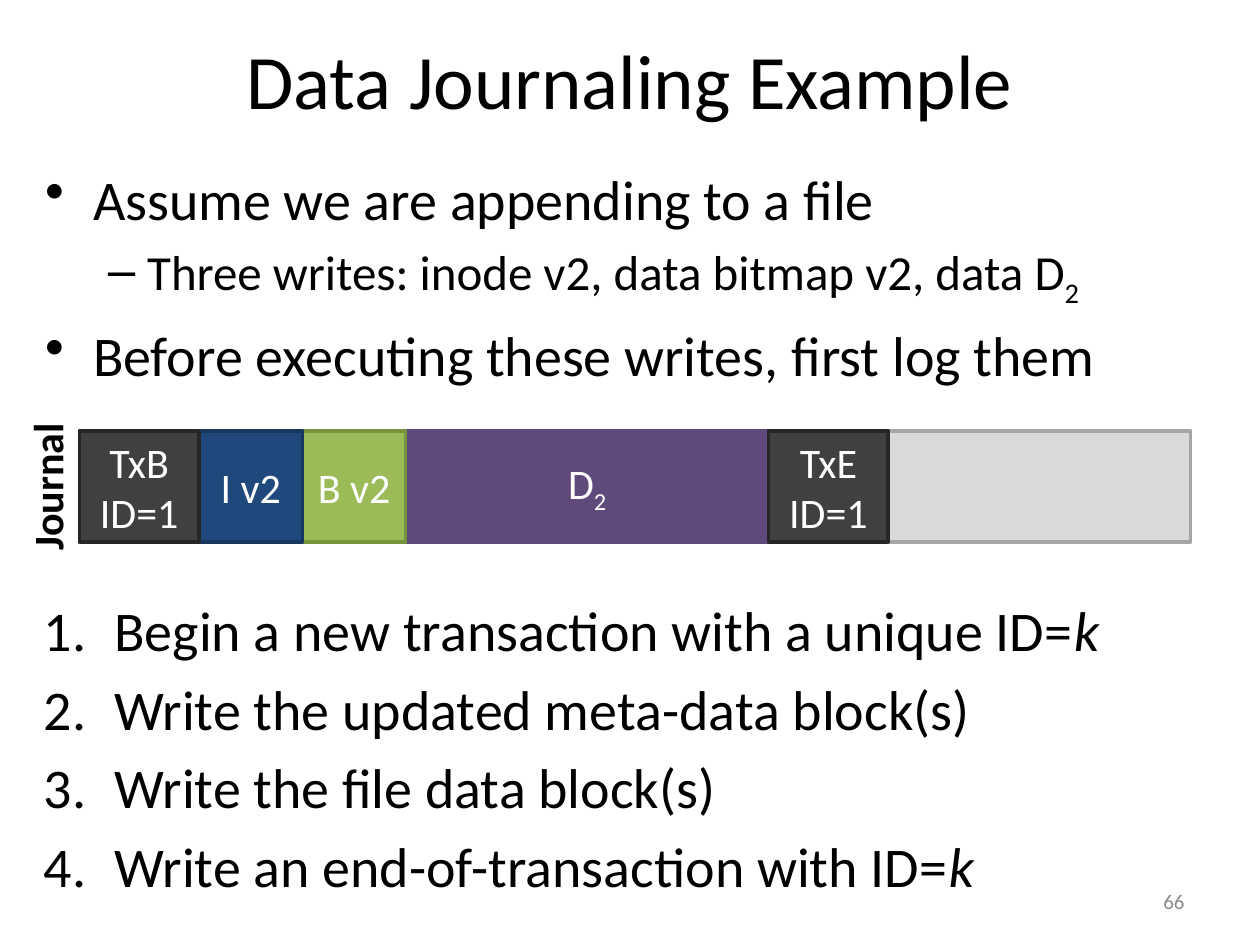
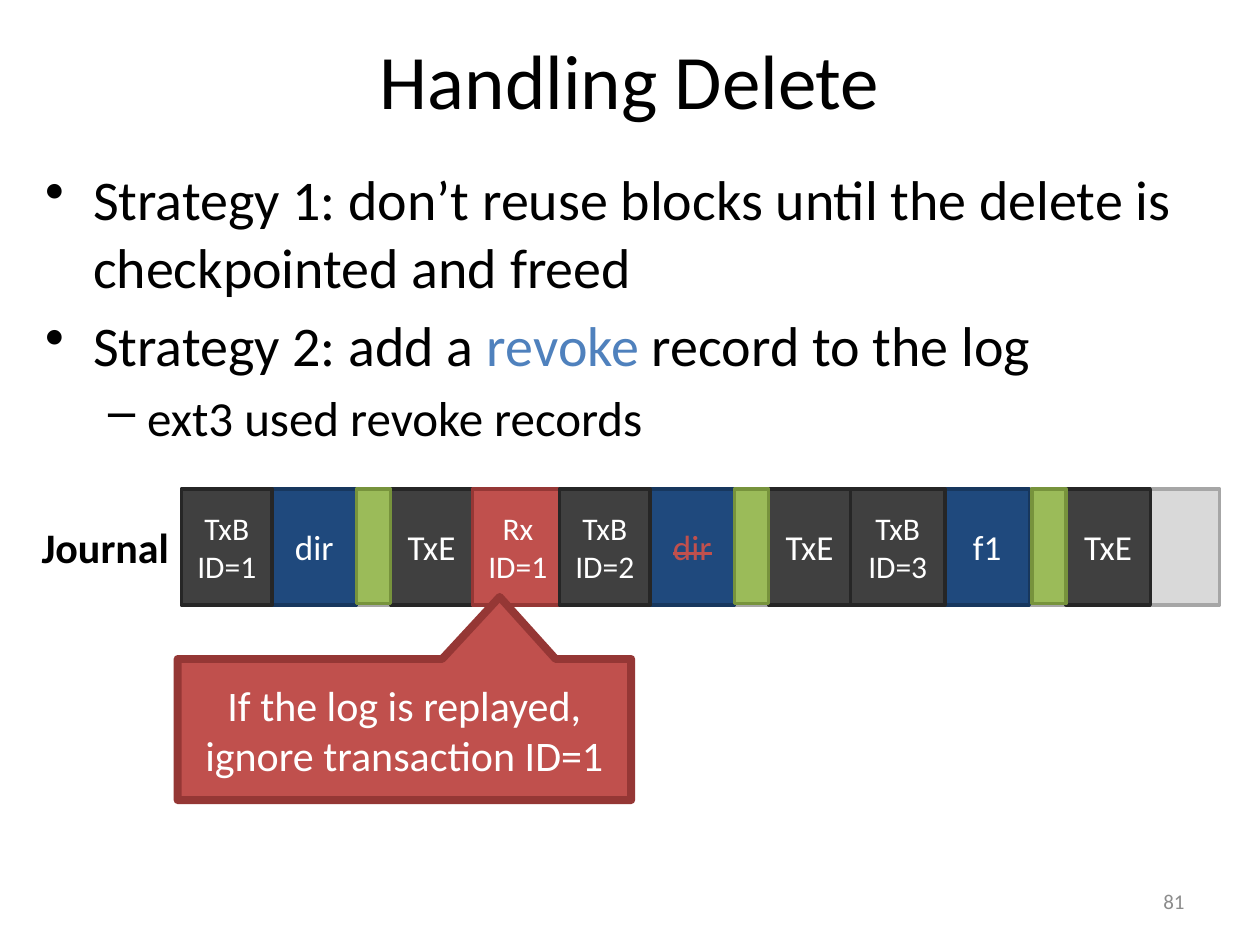
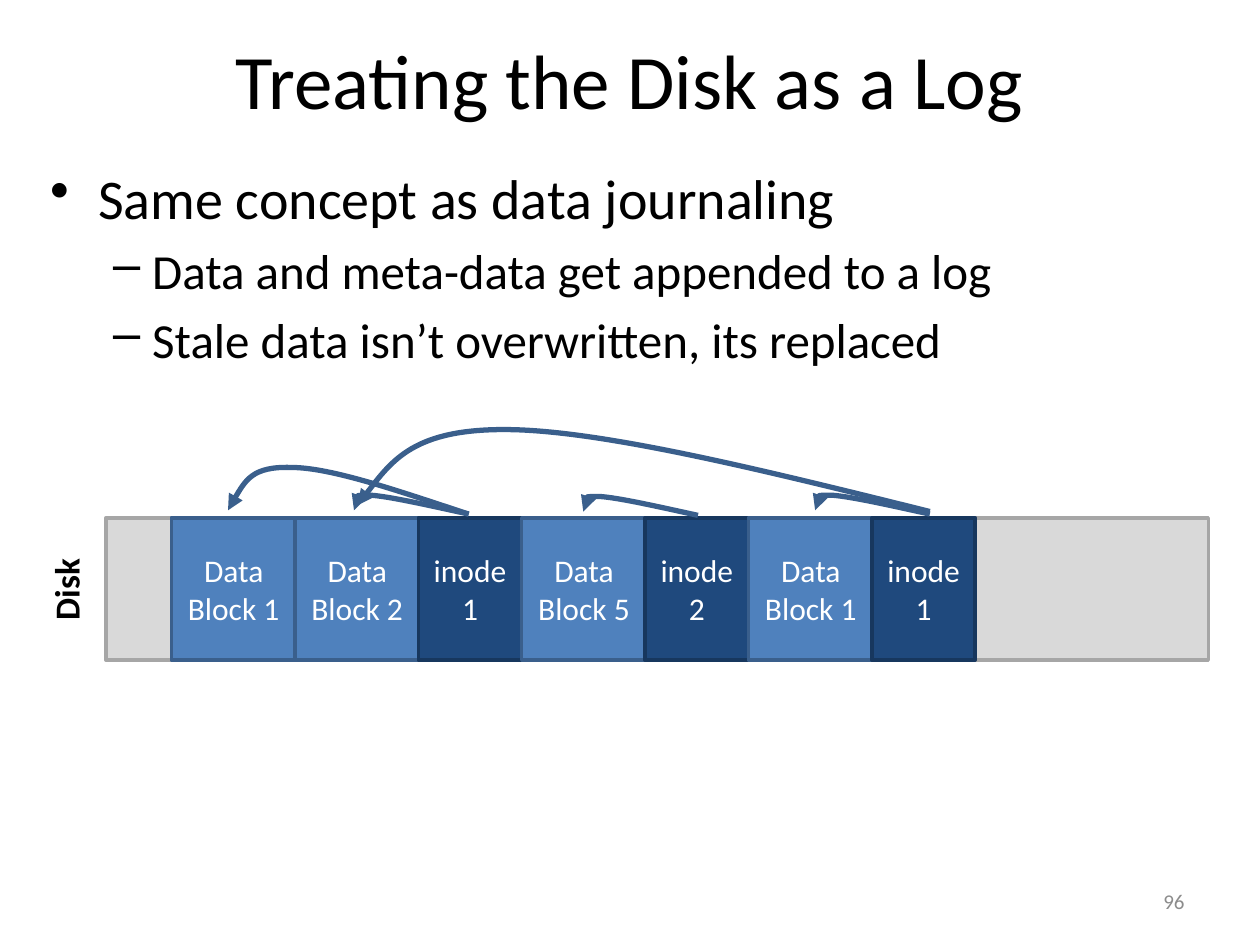
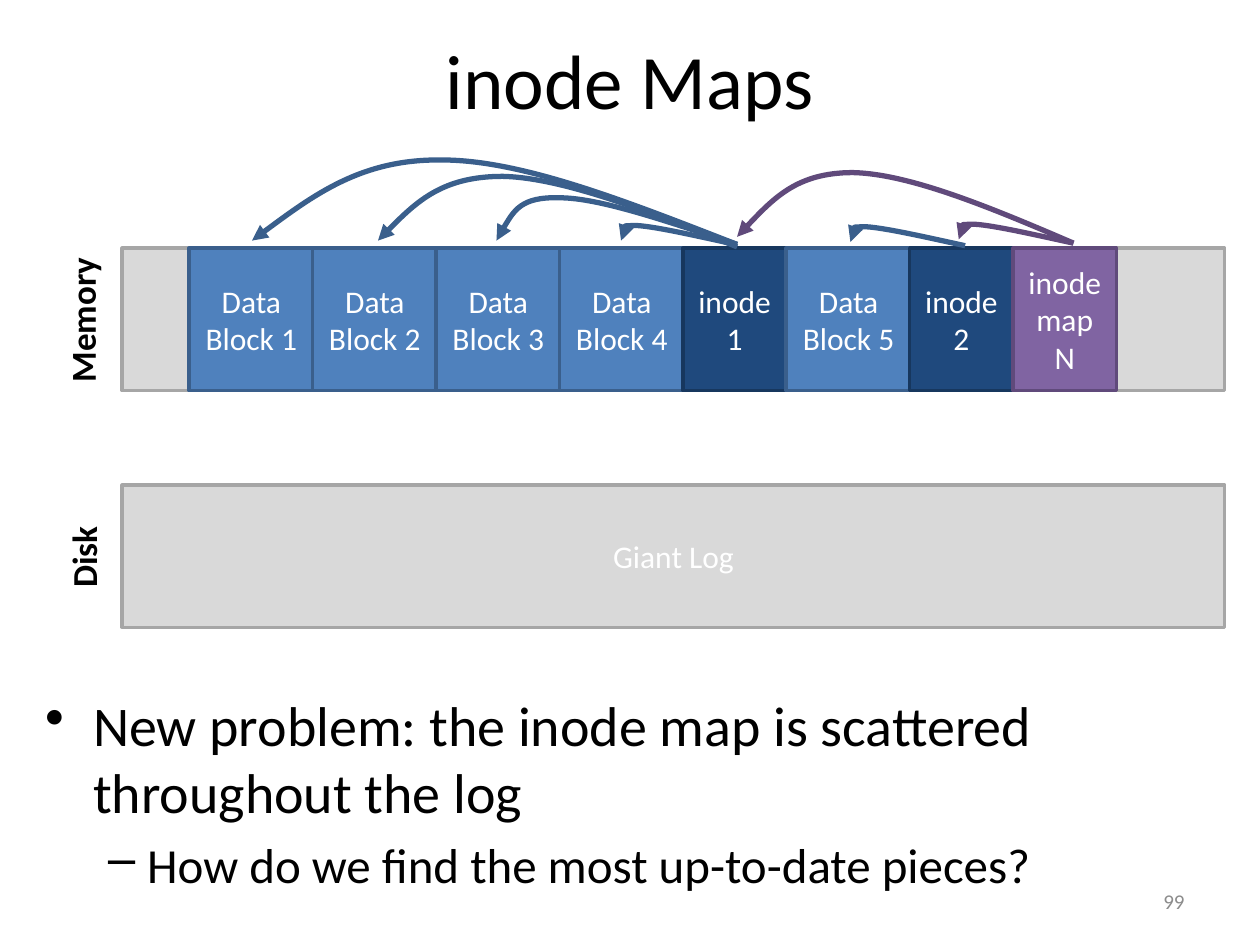
"""Build four slides on journaling and log-structured storage."""
from lxml import etree
from pptx import Presentation
from pptx.dml.color import RGBColor
from pptx.enum.shapes import MSO_SHAPE
from pptx.enum.text import MSO_ANCHOR, PP_ALIGN
from pptx.oxml.ns import qn
from pptx.util import Inches, Pt

RECT, CALL = MSO_SHAPE.RECTANGLE, MSO_SHAPE.RECTANGULAR_CALLOUT
LEFT, MID, RIGHT = PP_ALIGN.LEFT, PP_ALIGN.CENTER, PP_ALIGN.RIGHT
TOP, CENTER = MSO_ANCHOR.TOP, MSO_ANCHOR.MIDDLE
FONT = "Calibri"
COLOR = {
    "black": "000000", "white": "FFFFFF", "note": "8C8C8C",
    "gray": "D9D9D9", "gray edge": "A6A6A6",
    "dark": "404040", "dark edge": "262626",
    "navy": "1F497D", "navy edge": "17375E",
    "blue": "4F81BD", "blue edge": "3A5F8C",
    "green": "9BBB59", "green edge": "77933C",
    "red": "C0504D", "red edge": "953735",
    "plum": "604A7B", "plum edge": "604A7B",
    "violet": "8064A2", "violet edge": "604A7B",
}
MARKS = {"•": (0, 0.38, 0.38, 32), "–": (1, 0.81, 0.31, 28), "1": (0, 0.56, 0.56, 32)}
BENDS = {
    "short": [(-0.32, -0.07), (-0.63, -0.14), (-0.78, -0.15),
              (-0.93, -0.15), (-0.92, -0.09), (-0.91, -0.03)],
    "mid": [(-0.55, -0.18), (-1.09, -0.37), (-1.41, -0.37),
            (-1.72, -0.38), (-1.82, -0.2), (-1.91, -0.03)],
    "map": [(-0.65, -0.28), (-1.3, -0.55), (-1.75, -0.56),
            (-2.19, -0.56), (-2.43, -0.31), (-2.67, -0.05)],
    "long": [(-0.69, -0.28), (-1.39, -0.55), (-1.86, -0.56),
             (-2.34, -0.56), (-2.6, -0.31), (-2.85, -0.05)],
    "far": [(-0.85, -0.33), (-1.7, -0.67), (-2.34, -0.67),
            (-2.98, -0.68), (-3.42, -0.35), (-3.85, -0.03)],
    "wide": [(-1.29, -0.32), (-2.58, -0.64), (-3.34, -0.65),
             (-4.09, -0.66), (-4.32, -0.35), (-4.54, -0.05)],
}


def write(slide, text, at, size=18, color="black", bold=False, align=MID, anchor=CENTER,
          tone=None, kind=RECT, weight=2, turn=0, wrap=True, marks=""):
    """Add a text box, or a filled shape if a tone is given."""
    place = [Inches(n) for n in at]
    if tone:
        shape = slide.shapes.add_shape(kind, *place)
        shape.shadow.inherit = False
        shape.fill.solid()
        shape.fill.fore_color.rgb = RGBColor.from_string(COLOR[tone])
        shape.line.color.rgb = RGBColor.from_string(COLOR[tone + " edge"])
        shape.line.width = Pt(weight)
        color = "white"
    else:
        shape = slide.shapes.add_textbox(*place)
    shape.rotation = turn
    frame = shape.text_frame
    frame.word_wrap, frame.vertical_anchor = wrap, anchor
    lines = text.split("\n") if isinstance(text, str) else text
    for i, line in enumerate(lines):
        para = frame.paragraphs[0] if i == 0 else frame.add_paragraph()
        para.alignment = align
        if marks:
            level, left, hang, size = MARKS[marks[i]]
            para.level = level
            if i:
                para.space_before = Pt(size * 0.2)
            props = para._p.get_or_add_pPr()
            props.set("marL", str(Inches(left)))
            props.set("indent", str(-Inches(hang)))
            if marks[i] == "1":
                etree.SubElement(props, qn("a:buAutoNum"), type="arabicPeriod")
            else:
                etree.SubElement(props, qn("a:buChar"), char=marks[i])
        for part in [(line, {})] if isinstance(line, str) else line:
            words, style = part
            run = para.add_run()
            run.text = words
            font = run.font
            font.name, font.size, font.bold = FONT, Pt(size), bold
            font.color.rgb = RGBColor.from_string(COLOR[style.get("color", color)])
            for key in style.keys() - {"color"}:
                run._r.get_or_add_rPr().set(key, style[key])
    return shape


def bend(slide, x, y, name, color="blue edge"):
    """Draw a curved arrow that starts at x, y."""
    draw = slide.shapes.build_freeform(Inches(x), Inches(y), scale=1.0)
    draw.add_line_segments([(Inches(x + dx), Inches(y + dy)) for dx, dy in BENDS[name]], close=False)
    shape = draw.convert_to_shape()
    shape.shadow.inherit = False
    shape.fill.background()
    shape.line.color.rgb = RGBColor.from_string(COLOR[color])
    shape.line.width = Pt(3)
    etree.SubElement(shape.line._get_or_add_ln(), qn("a:tailEnd"), type="triangle")
    track = next(shape._element.iter(qn("a:path")))
    steps = track.findall(qn("a:lnTo"))
    for start in (0, 3):
        curve = etree.SubElement(track, qn("a:cubicBezTo"))
        for step in steps[start:start + 3]:
            curve.append(step[0])
            track.remove(step)


deck = Presentation()
deck.slide_width, deck.slide_height = Inches(10), Inches(7.5)
pages = []
for title, number in [("Data Journaling Example", "66"), ("Handling Delete", "81"),
                      ("Treating the Disk as a Log", "96"), ("inode Maps", "99")]:
    page = deck.slides.add_slide(deck.slide_layouts[6])
    write(page, title, (0.5, 0, 9, 1.25), size=44)
    write(page, number, (7.17, 6.95, 2.33, 0.4), size=12, color="note", align=RIGHT)
    pages.append(page)
data, delete, disk, maps = pages

sub, slant = {"baseline": "-25000"}, {"i": "1"}
lists = [
    (data, (0.26, 1.26, 9.49, 1.98), "•–•", [
        "Assume we are appending to a file",
        [("Three writes: inode v2, data bitmap v2, data D", {}), ("2", sub)],
        "Before executing these writes, first log them"]),
    (data, (0.25, 4.68, 9.49, 2.77), "1111", [
        [("Begin a new transaction with a unique ID=", {}), ("k", slant)],
        "Write the updated meta-data block(s)",
        "Write the file data block(s)",
        [("Write an end-of-transaction with ID=", {}), ("k", slant)]]),
    (delete, (0.26, 1.26, 9.49, 2.48), "••–", [
        "Strategy 1: don’t reuse blocks until the delete is checkpointed and freed",
        [("Strategy 2: add a ", {}), ("revoke", {"color": "blue"}), (" record to the log", {})],
        "ext3 used revoke records"]),
    (disk, (0.3, 1.25, 9.49, 1.89), "•––", [
        "Same concept as data journaling",
        "Data and meta-data get appended to a log",
        "Stale data isn’t overwritten, its replaced"]),
    (maps, (0.26, 5.43, 9.49, 1.97), "•–", [
        "New problem: the inode map is scattered throughout the log",
        "How do we find the most up-to-date pieces?"]),
]
for page, at, marks, text in lists:
    write(page, text, at, marks=marks, align=LEFT, anchor=TOP)

write(data, "", (0.63, 3.42, 8.82, 0.88), tone="gray")
write(data, "Journal", (-0.24, 3.61, 1.22, 0.5), size=24, bold=True, align=LEFT,
      anchor=TOP, turn=270, wrap=False)
for text, tone, x, width in [
        ([[("D", {}), ("2", sub)]], "plum", 3.22, 2.88), ("B v2", "green", 2.4, 0.82),
        ("I v2", "navy", 1.58, 0.82), ("TxB\nID=1", "dark", 0.63, 0.95),
        ("TxE\nID=1", "dark", 6.1, 0.95)]:
    write(data, text, (x, 3.42, width, 0.88), size=24, tone=tone)

write(delete, "", (1.44, 3.88, 8.24, 0.92), tone="gray")
write(delete, "Journal", (0.16, 4.09, 1.28, 0.5), size=24, bold=True, align=RIGHT, anchor=TOP)
struck = [[("dir", {"color": "red", "strike": "sngStrike"})]]
for text, tone, x, width, size in [
        ("dir", "navy", 2.16, 0.67, 20), ("TxB\nID=1", "dark", 1.44, 0.72, 18),
        ("TxE", "dark", 3.1, 0.65, 20), ("Rx\nID=1", "red", 3.75, 0.72, 18),
        (struck, "navy", 5.16, 0.67, 20), ("TxB\nID=2", "dark", 4.44, 0.72, 18),
        ("TxE", "dark", 6.1, 0.65, 20), ("f1", "navy", 7.5, 0.67, 20),
        ("TxB\nID=3", "dark", 6.75, 0.75, 18), ("TxE", "dark", 8.46, 0.67, 20)]:
    write(delete, text, (x, 3.88, width, 0.92), size=size, tone=tone)
for x in (2.83, 5.83, 8.19):
    write(delete, "", (x, 3.88, 0.27, 0.91), tone="green")
call = write(delete, "If the log is replayed, ignore transaction ID=1", (1.41, 5.23, 3.6, 1.12),
             size=24, tone="red", kind=CALL, weight=4.5)
call.adjustments[0], call.adjustments[1] = 0.21, -0.94

for page, text, x, y, label in [
        (disk, "", 0.84, 4.11, ("Disk", -0.19, 4.46)),
        (maps, "", 0.97, 1.97, ("Memory", -0.06, 2.32)),
        (maps, "Giant Log", 0.97, 3.85, ("Disk", -0.05, 4.2))]:
    write(page, text, (x, y, 8.75, 1.13), tone="gray")
    name, left, top = label
    write(page, name, (left, top, 1.43, 0.44), size=20, bold=True, anchor=TOP, turn=270)

one, two = "inode\n1", "inode\n2"
block = ["Data Block %d" % n for n in range(1, 6)]
for page, x, y, row in [
        (disk, 1.36, 4.11, [block[0], block[1], one, block[4], two, block[0], one]),
        (maps, 1.5, 1.97, block[:4] + [one, block[4], two, "inode\nmap\nN"])]:
    for text in row:
        wide = text in block
        tone = "blue" if wide else "violet" if "map" in text else "navy"
        write(page, text, (x, y, 0.99 if wide else 0.82, 1.13), tone=tone)
        x += 0.98 if wide else 0.82

for x, y, name in [(3.72, 4.08, "short"), (5.54, 4.09, "short"), (3.72, 4.08, "mid"),
                   (7.38, 4.08, "short"), (7.38, 4.06, "wide")]:
    bend(disk, x, y, name)
for x, y, name in [(5.85, 1.94, "far"), (5.85, 1.96, "long"), (5.85, 1.94, "mid"),
                   (5.84, 1.94, "short"), (7.66, 1.95, "short")]:
    bend(maps, x, y, name)
for name in ("short", "map"):
    bend(maps, 8.52, 1.93, name, color="plum")

deck.save("out.pptx")
